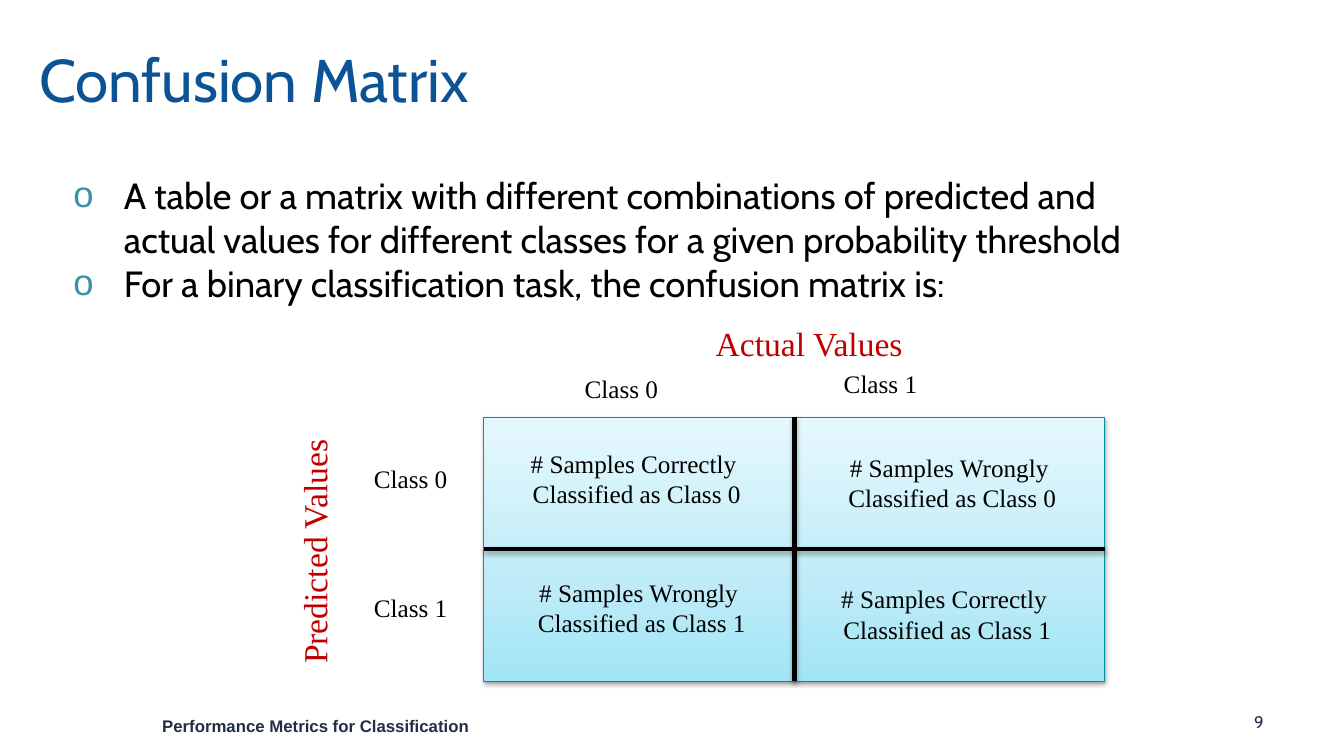
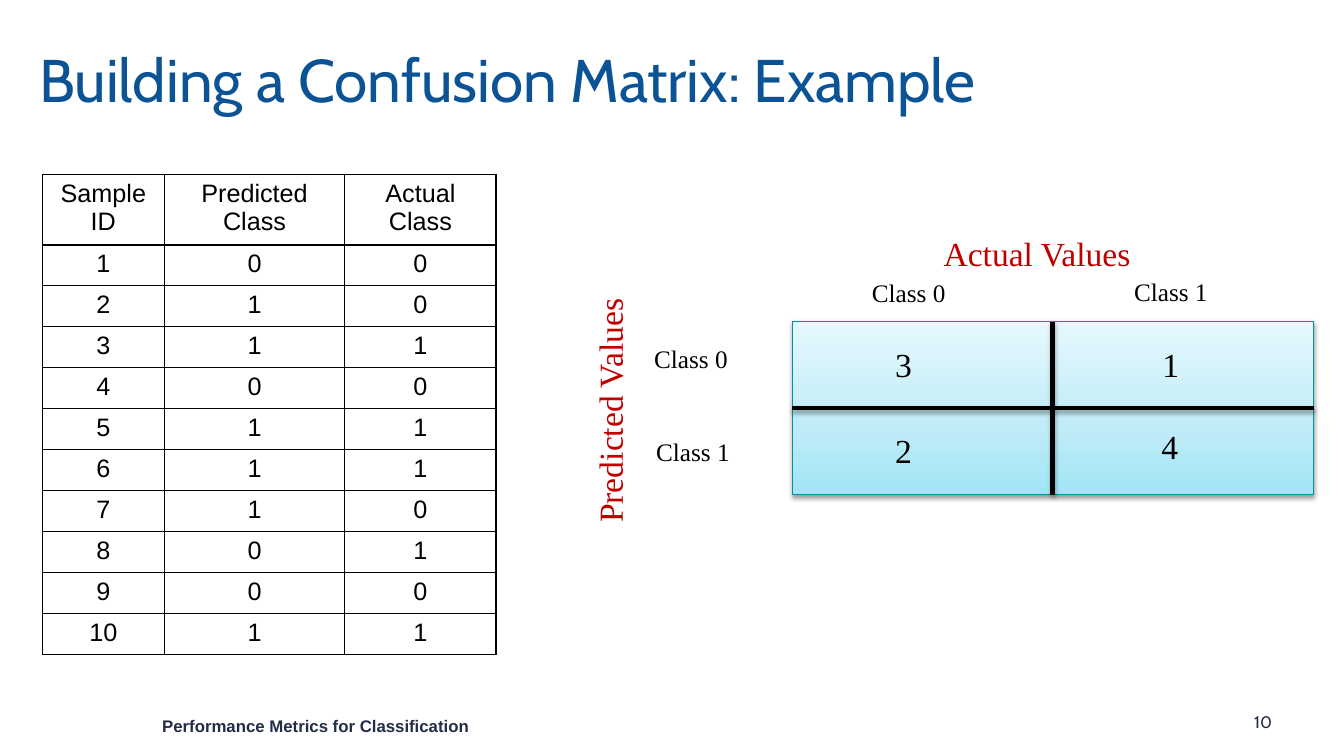
from pptx import Presentation
from pptx.dml.color import RGBColor
from pptx.enum.shapes import MSO_CONNECTOR, MSO_SHAPE
from pptx.enum.text import MSO_ANCHOR, MSO_AUTO_SIZE, PP_ALIGN
from pptx.oxml import parse_xml
from pptx.oxml.ns import nsdecls, qn
from pptx.util import Pt

PX = 9144  # EMU in one px, 100 px to the inch
BLACK, WHITE, RED, TITLE_BLUE = "000000", "FFFFFF", "C00000", "0B5394"
NAVY, BULLET_TEAL, BORDER_TEAL = "232D47", "3891A7", "0094A3"
MATRIX_STOPS = [(0, "A0E5F5"), (35, "BEEBF7"), (100, "E5F8FD")]

TITLE = {"name": "Cabin", "size": Pt(43), "color": TITLE_BLUE}
BODY = {"name": "Cabin", "size": Pt(26), "color": BLACK}
FOOTER = {"name": "Arial", "size": Pt(12), "bold": True, "color": NAVY}
NUMBER = {"name": "Cabin", "size": Pt(12), "color": NAVY}
LABEL = {"name": "Times New Roman", "size": Pt(18), "color": BLACK}
VALUE = {**LABEL, "size": Pt(24)}
AXIS = {**VALUE, "color": RED}
CELL = {"name": "Arial", "size": Pt(18), "color": BLACK}


def px(*lengths):
    return [round(n * PX) for n in lengths]


def rgb(code):
    return RGBColor.from_string(code)


def apply(target, values):
    for name, value in values.items():
        if name == "color":
            target.color.rgb = rgb(value)
        else:
            setattr(target, name, value)


def shadow_xml(alpha, distance):
    return parse_xml(
        f'<a:effectLst {nsdecls("a")}><a:outerShdw blurRad="40000" dist="{distance}" '
        f'dir="5400000" rotWithShape="0"><a:srgbClr val="{BLACK}">'
        f'<a:alpha val="{alpha * 1000}"/></a:srgbClr></a:outerShdw></a:effectLst>')


class Deck:
    def __init__(self):
        self.prs = Presentation()
        self.prs.slide_width, self.prs.slide_height = px(1333, 750)
        self.s = None

    def slide(self, title, number):
        """Start a slide with its title, footer and number."""
        self.s = self.prs.slides.add_slide(self.prs.slide_layouts[6])
        self.s.background.fill.solid()
        self.s.background.fill.fore_color.rgb = rgb(WHITE)
        self.text("Performance Metrics for Classification", (151, 705, 338, 30), FOOTER)
        self.text(number, (1234, 701, 67, 30), NUMBER)
        tf = self.text(title, (29, 10, 1150, 145), TITLE).text_frame
        tf.vertical_anchor = MSO_ANCHOR.MIDDLE
        tf.paragraphs[0].line_spacing = 0.9

    def text(self, words, box, style, wrap=True, align=PP_ALIGN.LEFT, bullets=False):
        """Add a text box, one paragraph for each line of words."""
        sp = self.s.shapes.add_textbox(*px(*box))
        tf = sp.text_frame
        apply(tf, {"word_wrap": wrap, "auto_size":
                   MSO_AUTO_SIZE.NONE if wrap else MSO_AUTO_SIZE.SHAPE_TO_FIT_TEXT})
        for i, line in enumerate(words.split("\n")):
            p = tf.add_paragraph() if i else tf.paragraphs[0]
            p.alignment = align
            if bullets:
                self.bullet(p)
            r = p.add_run()
            r.text = line
            apply(r.font, style)
        return sp

    def bullet(self, p):
        pPr = p._p.get_or_add_pPr()
        indent, = px(50)
        pPr.set("marL", str(indent))
        pPr.set("indent", str(-indent))
        for xml in (f'<a:buClr {nsdecls("a")}><a:srgbClr val="{BULLET_TEAL}"/></a:buClr>',
                    f'<a:buFont {nsdecls("a")} typeface="Arial"/>',
                    f'<a:buChar {nsdecls("a")} char="o"/>'):
            pPr.append(parse_xml(xml))

    def labels(self, places, size, style, align=PP_ALIGN.LEFT):
        """Add equally sized labels at the given places."""
        for words, left, top in places:
            self.text(words, (left, top, *size), style, wrap=False, align=align)

    def line(self, x1, y1, x2, y2):
        line = self.s.shapes.add_connector(MSO_CONNECTOR.STRAIGHT, *px(x1, y1, x2, y2))
        apply(line.line, {"width": Pt(3), "color": BLACK})
        line.element.spPr.append(shadow_xml(35, 23000))

    def matrix(self, left, top, width, height):
        """Add a shaded rectangle cut into four cells."""
        sp = self.s.shapes.add_shape(MSO_SHAPE.RECTANGLE, *px(left, top, width, height))
        sp.fill.background()
        stops = "".join(f'<a:gs pos="{at * 1000}"><a:srgbClr val="{code}"/></a:gs>'
                        for at, code in MATRIX_STOPS)
        spPr = sp.element.spPr
        spPr.replace(spPr.find(qn("a:noFill")), parse_xml(
            f'<a:gradFill {nsdecls("a")} rotWithShape="1"><a:gsLst>{stops}</a:gsLst>'
            f'<a:lin ang="16200000" scaled="0"/></a:gradFill>'))
        apply(sp.line, {"width": Pt(0.75), "color": BORDER_TEAL})
        spPr.append(shadow_xml(38, 20000))
        middle, centre = left + width // 2, top + height // 2
        self.line(middle, top, middle, top + height)
        self.line(left, centre, left + width, centre)

    def axes(self, actual, predicted, classes):
        """Add the axis titles and the class labels."""
        self.labels(classes, (94, 40), LABEL)
        self.text("Actual Values", (*actual, 212, 50), AXIS, wrap=False)
        self.text("Predicted Values", (*predicted, 249, 50), AXIS, wrap=False).rotation = 270

    def table(self, left, top, widths, height, header_height, rows):
        frame = self.s.shapes.add_table(
            len(rows), len(widths), *px(left, top, sum(widths), height))
        table = frame.table
        apply(table, {"first_row": False, "horz_banding": False})
        for column, width in zip(table.columns, widths):
            column.width, = px(width)
        row_height = (height - header_height) / (len(rows) - 1)
        for i, row in enumerate(rows):
            table.rows[i].height, = px(row_height if i else header_height)
            for j, value in enumerate(row):
                self.cell(table.cell(i, j), str(value))

    def cell(self, cell, words):
        tcPr = cell._tc.get_or_add_tcPr()
        for side in ("lnL", "lnR", "lnT", "lnB"):
            tcPr.append(parse_xml(
                f'<a:{side} {nsdecls("a")} w="12700"><a:solidFill>'
                f'<a:srgbClr val="{BLACK}"/></a:solidFill></a:{side}>'))
        cell.fill.background()
        p = cell.text_frame.paragraphs[0]
        p.alignment = PP_ALIGN.CENTER
        r = p.add_run()
        r.text = words
        apply(r.font, CELL)


def confusion_matrix(deck):
    deck.slide("Confusion Matrix", "9")
    deck.text("A table or a matrix with different combinations of predicted and actual "
              "values for different classes for a given probability threshold\n"
              "For a binary classification task, the confusion matrix is:",
              (63, 167, 1076, 149), BODY, bullets=True)
    deck.matrix(480, 414, 616, 262)
    samples = [("Correctly", 0, 516, 440), ("Correctly", 1, 824, 574),
               ("Wrongly", 0, 829, 444), ("Wrongly", 1, 521, 568)]
    deck.labels([(f"# Samples {result} \nClassified as Class {n}", left, top)
                 for result, n, left, top in samples],
                (231, 71), LABEL, PP_ALIGN.CENTER)
    deck.axes((700, 315), (187, 519),
              [("Class 0", 361, 455), ("Class 1", 361, 583),
               ("Class 0", 570, 365), ("Class 1", 827, 360)])


def worked_example(deck):
    deck.slide("Building a Confusion Matrix: Example", "10")
    deck.matrix(786, 319, 517, 172)
    deck.labels([("3", 878, 336), ("1", 1143, 336), ("2", 878, 422), ("4", 1142, 418)],
                (37, 50), VALUE)
    deck.axes((926, 226), (480, 379),
              [("Class 0", 639, 336), ("Class 1", 641, 428),
               ("Class 0", 855, 270), ("Class 1", 1115, 269)])
    predicted = [0, 1, 1, 0, 1, 1, 1, 0, 0, 1]
    actual = [0, 0, 1, 0, 1, 1, 0, 1, 0, 1]
    rows = [("Sample ID", "Predicted Class", "Actual Class"),
            *zip(range(1, 11), predicted, actual)]
    deck.table(42, 173, [121, 179, 150], 476, 70, rows)


def main():
    deck = Deck()
    confusion_matrix(deck)
    worked_example(deck)
    deck.prs.save("out.pptx")


if __name__ == "__main__":
    main()
